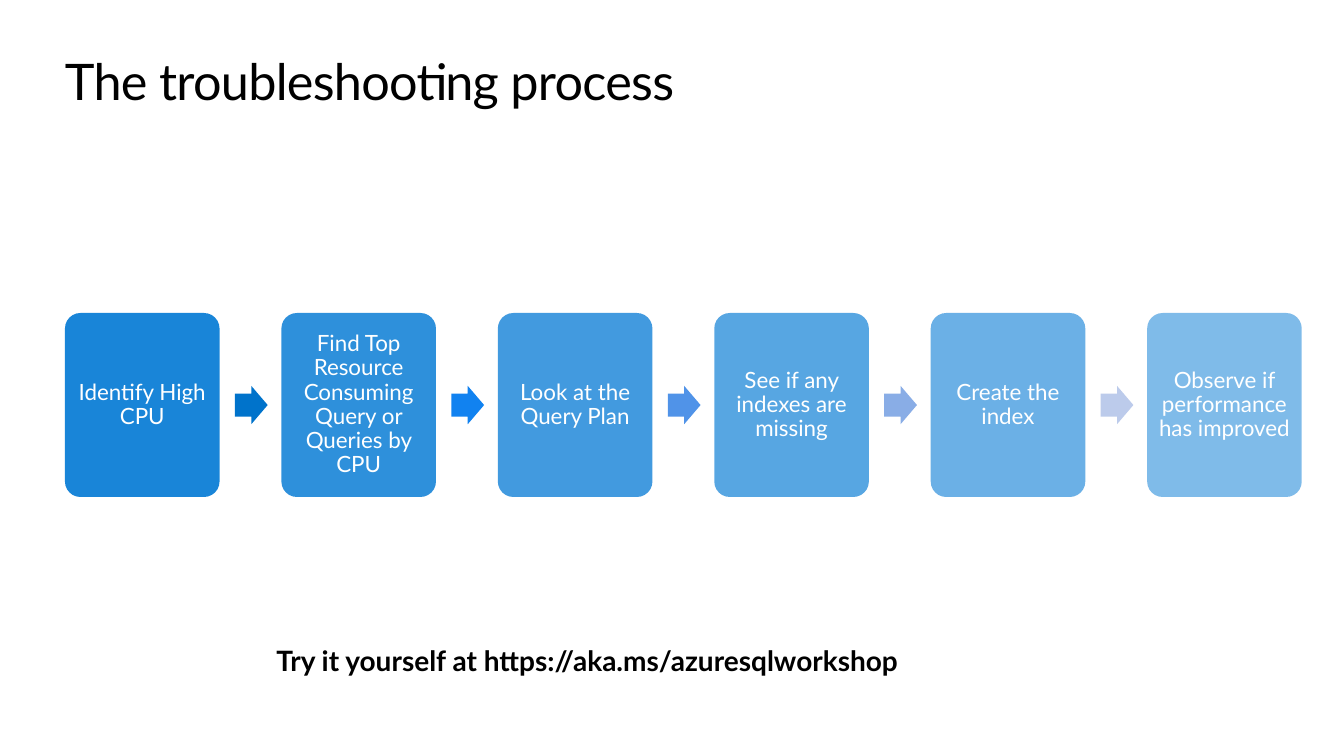
from lxml.etree import SubElement
from pptx import Presentation
from pptx.dml.color import RGBColor
from pptx.enum.shapes import MSO_SHAPE
from pptx.enum.text import MSO_ANCHOR, PP_ALIGN
from pptx.oxml.ns import qn
from pptx.util import Pt

STEPS = [
    "Identify High CPU",
    "Find Top Resource Consuming Query or Queries by CPU",
    "Look at the Query Plan",
    "See if any indexes are missing",
    "Create the index",
    "Observe if performance has improved",
]
ARROW_COLORS = ["0073CB", "1182F0", "5093E8", "89ADE6", "BCCBEB"]
LEFT, PITCH = 46.4, 154.6
STEP_TOP, STEP_WIDTH, STEP_HEIGHT = 223.6, 110.4, 131.4
ARROW_WIDTH, ARROW_HEIGHT = 23.4, 27.4


def set_color(color_format, hex_color):
    color_format.rgb = RGBColor.from_string(hex_color)


def write_text(shape, text, size, color, align=PP_ALIGN.LEFT,
               anchor=MSO_ANCHOR.TOP, margin=0, bold=False):
    frame = shape.text_frame
    frame.text = text
    frame.word_wrap = True
    frame.vertical_anchor = anchor
    frame.margin_left = frame.margin_right = Pt(margin)
    frame.margin_top = frame.margin_bottom = Pt(margin)
    paragraph = frame.paragraphs[0]
    paragraph.alignment = align
    run = paragraph.runs[0]
    run.font.name = "Lato"
    run.font.size = Pt(size)
    run.font.bold = bold
    set_color(run.font.color, color)
    return run


def add_filled_shape(slide, kind, left, top, width, height, color):
    shape = slide.shapes.add_shape(kind, Pt(left), Pt(top), Pt(width), Pt(height))
    shape.shadow.inherit = False
    shape.fill.solid()
    set_color(shape.fill.fore_color, color)
    shape.line.fill.background()
    return shape


def add_step(slide, left, text, opacity):
    step = add_filled_shape(slide, MSO_SHAPE.ROUNDED_RECTANGLE, left, STEP_TOP,
                            STEP_WIDTH, STEP_HEIGHT, "0078D4")
    step.adjustments[0] = 0.1
    fill_color = step.fill._xPr.find(qn("a:solidFill"))[0]
    SubElement(fill_color, qn("a:alpha"), val=str(opacity * 1000))
    write_text(step, text, 16, "FFFFFF", PP_ALIGN.CENTER, MSO_ANCHOR.MIDDLE, 4.8)
    step.text_frame.paragraphs[0].line_spacing = 0.9


def add_arrow(slide, left, color):
    top = STEP_TOP + (STEP_HEIGHT - ARROW_HEIGHT) / 2
    arrow = add_filled_shape(slide, MSO_SHAPE.RIGHT_ARROW, left, top,
                             ARROW_WIDTH, ARROW_HEIGHT, color)
    arrow.adjustments[0] = 0.6
    arrow.adjustments[1] = 0.5


def add_title(slide, text):
    title = slide.shapes.title
    title.left, title.top = Pt(LEFT), Pt(36)
    title.width, title.height = Pt(867.6), Pt(44)
    run = write_text(title, text, 36, "000000")
    run.font._element.set("spc", "-50")


def main():
    presentation = Presentation()
    presentation.slide_width, presentation.slide_height = Pt(960), Pt(540)
    slide = presentation.slides.add_slide(presentation.slide_layouts[5])
    add_title(slide, "The troubleshooting process")

    # Process steps, fading from left to right
    for index, text in enumerate(STEPS):
        add_step(slide, LEFT + index * PITCH, text, 90 - 8 * index)

    # Arrows between the steps
    for index, color in enumerate(ARROW_COLORS):
        add_arrow(slide, LEFT + index * PITCH + 121.4, color)

    # Workshop address
    address = slide.shapes.add_textbox(Pt(197.4), Pt(460), Pt(491.8), Pt(24.5))
    write_text(address, "Try it yourself at https://aka.ms/azuresqlworkshop",
               20, "000000", bold=True)

    presentation.save("out.pptx")


if __name__ == "__main__":
    main()
